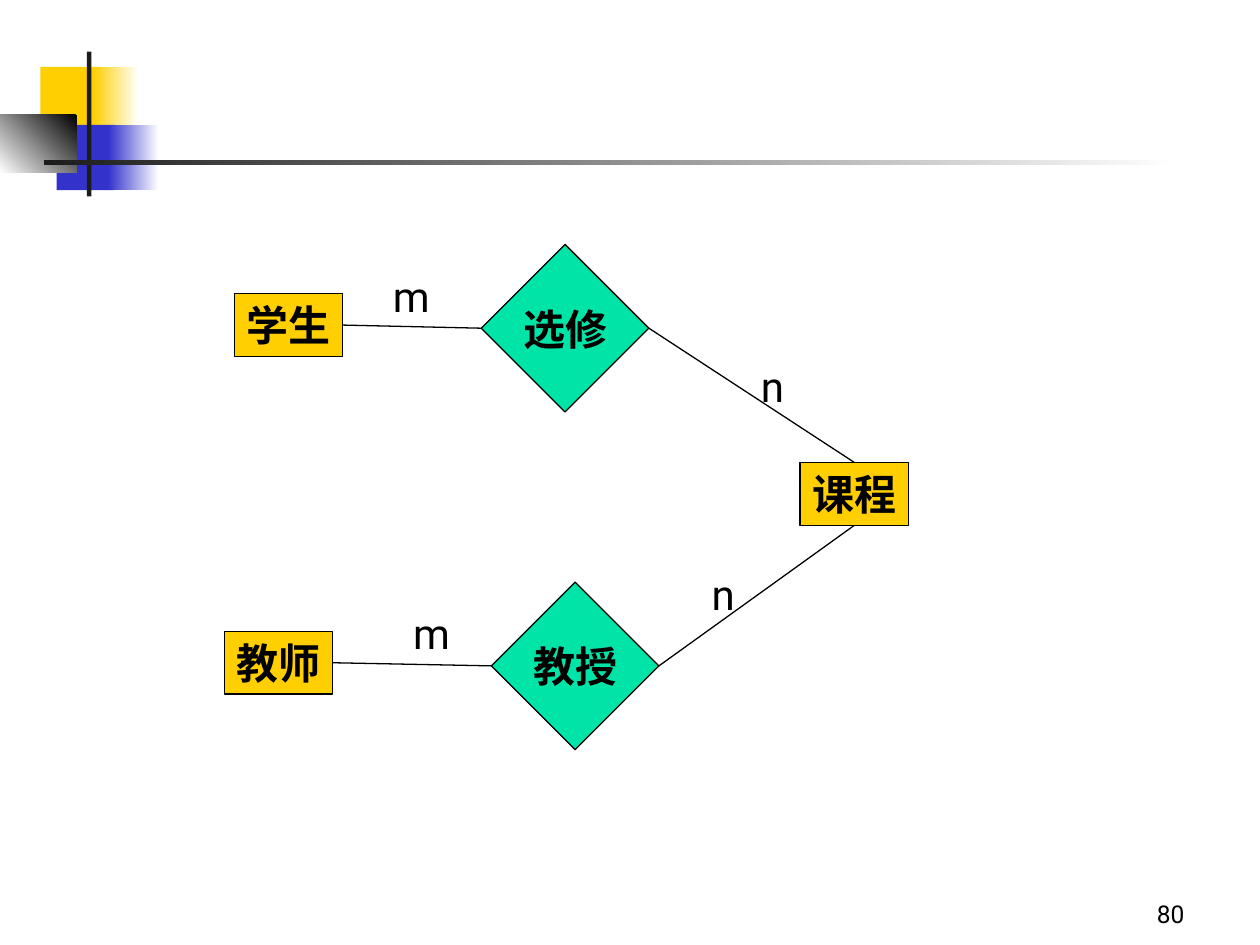
import pptx
import pptx.util
import pptx.dml.color
import pptx.enum.shapes
import pptx.enum.text
import pptx.oxml

Color = pptx.dml.color.RGBColor
Kind = pptx.enum.shapes.MSO_SHAPE
Align = pptx.enum.text.PP_ALIGN
Anchor = pptx.enum.text.MSO_ANCHOR
Fit = pptx.enum.text.MSO_AUTO_SIZE

GOLD = Color(0xFF, 0xCF, 0x01)
BLUE = Color(0x33, 0x33, 0xCC)
GREEN = Color(0x00, 0xE4, 0xA8)
DARK = Color(0x1C, 0x1C, 0x1C)
BLACK = Color(0, 0, 0)
WHITE = Color(0xFF, 0xFF, 0xFF)

WIDTH, HEIGHT = pptx.util.Inches(10), pptx.util.Inches(7.5)
COLS, ROWS = 100, 75
FONT = "Roboto"
TOP, LEFT, BOTTOM, RIGHT = range(4)


def cells(box):
    """Turn a box in columns and rows into slide lengths."""
    x, y, w, h = box
    col, row = WIDTH / COLS, HEIGHT / ROWS
    return [round(n) for n in (x * col, y * row, w * col, h * row)]


def write(shape, text, size=24, bold=False, align=Align.LEFT,
          anchor=Anchor.TOP, wrap=False):
    """Write one run of text into a shape."""
    frame = shape.text_frame
    frame.word_wrap = wrap
    frame.auto_size = Fit.NONE
    frame.vertical_anchor = anchor
    line = frame.paragraphs[0]
    line.alignment = align
    run = line.add_run()
    run.text = text
    font = run.font
    font.name, font.size, font.bold = FONT, pptx.util.Pt(size), bold
    font.color.rgb = BLACK


def block(slide, box, fill, kind=Kind.RECTANGLE):
    """Add a plain filled shape without a line."""
    shape = slide.shapes.add_shape(kind, *cells(box))
    shape.shadow.inherit = False
    shape.fill.solid()
    shape.fill.fore_color.rgb = fill
    shape.line.fill.background()
    return shape


def fade(slide, box, start, end, angle=180):
    """Add a block that blends from one colour to another."""
    fill = block(slide, box, start).fill
    fill.gradient()
    fill.gradient_angle = angle
    for stop, color in zip(fill.gradient_stops, (start, end)):
        stop.color.rgb = color


def node(slide, box, text, fill, kind=Kind.RECTANGLE):
    """Add an outlined shape with a bold name in its middle."""
    shape = block(slide, box, fill, kind)
    shape.line.color.rgb = BLACK
    shape.line.width = pptx.util.Pt(0.75)
    write(shape, text, bold=True, align=Align.CENTER, anchor=Anchor.MIDDLE)
    return shape


def label(slide, box, text, **style):
    """Add a text box."""
    write(slide.shapes.add_textbox(*cells(box)), text, **style)


def link(slide, first, side, last, end):
    """Join two nodes with a thin line."""
    line = slide.shapes.add_connector(
        pptx.enum.shapes.MSO_CONNECTOR.STRAIGHT, 0, 0, 0, 0)
    line.begin_connect(first, side)
    line.end_connect(last, end)
    line.line.color.rgb = BLACK
    line.line.width = pptx.util.Pt(0.75)
    line._element.spPr.append(pptx.oxml.parse_xml(
        '<a:effectLst xmlns:a='
        '"http://schemas.openxmlformats.org/drawingml/2006/main"/>'))


def emblem(slide, box):
    """Draw the coloured squares and crossing rules of the header."""
    x, y, w, h = box
    block(slide, (x + 3.2, y + 1.2, 4.8, 5.2), GOLD)
    fade(slide, (x + 7.4, y + 1.2, 3.6, 5.2), WHITE, GOLD)
    block(slide, (x + 4.5, y + 5.8, 4.6, 5.2), BLUE)
    fade(slide, (x + 8.6, y + 5.8, 4, 5.2), WHITE, BLUE)
    fade(slide, (x, y + 5, 6.1, 4.6), BLACK, WHITE, 225)
    block(slide, (x + 6.9, y, 0.35, h), DARK)
    fade(slide, (x + 3.5, y + 8.6, w - 3.5, 0.4), WHITE, DARK)


def relate(slide, box, names, mark):
    """Draw an entity at the left of a box and its relation at the right."""
    x, y, w, h = box
    entity = node(slide, (x, y + 3.9, 8.6, 5), names[0], GOLD)
    bond = node(slide, (x + w - h, y, h, h), names[1], GREEN, Kind.DIAMOND)
    link(slide, entity, RIGHT, bond, LEFT)
    label(slide, (x + mark, y + 1.55, 5.1, 5), "m")
    return bond


def diagram(slide, box):
    """Draw two relations that meet at the shared course entity."""
    x, y, w, h = box
    side, low = 13.3, y + h - 13.3
    course = node(slide, (x + w - 8.6, y + 17.3, 8.6, 5), "课程", GOLD)
    study = relate(slide, (x + 0.8, y, 32.9, side), ("学生", "选修"), 11.6)
    teach = relate(slide, (x, low, 34.5, side), ("教师", "教授"), 14)
    link(slide, study, RIGHT, course, TOP)
    link(slide, teach, RIGHT, course, BOTTOM)
    label(slide, (x + 41.6, y + 8.7, 4, 5), "n")
    label(slide, (x + 37.7, low - 1.6, 4, 5), "n")


def footer(slide, box):
    """Write the page number at the lower right."""
    label(slide, box, "80", size=14, align=Align.RIGHT,
          anchor=Anchor.BOTTOM, wrap=True)


def main():
    """Build the slide and save it."""
    deck = pptx.Presentation()
    deck.slide_width, deck.slide_height = WIDTH, HEIGHT
    slide = deck.slides.add_slide(deck.slide_layouts[6])
    emblem(slide, (0, 4.1, 93.5, 11.5))
    footer(slide, (74.2, 69.2, 20.8, 5))
    diagram(slide, (17.8, 19.4, 54.3, 40.1))
    deck.save("out.pptx")


if __name__ == "__main__":
    main()
